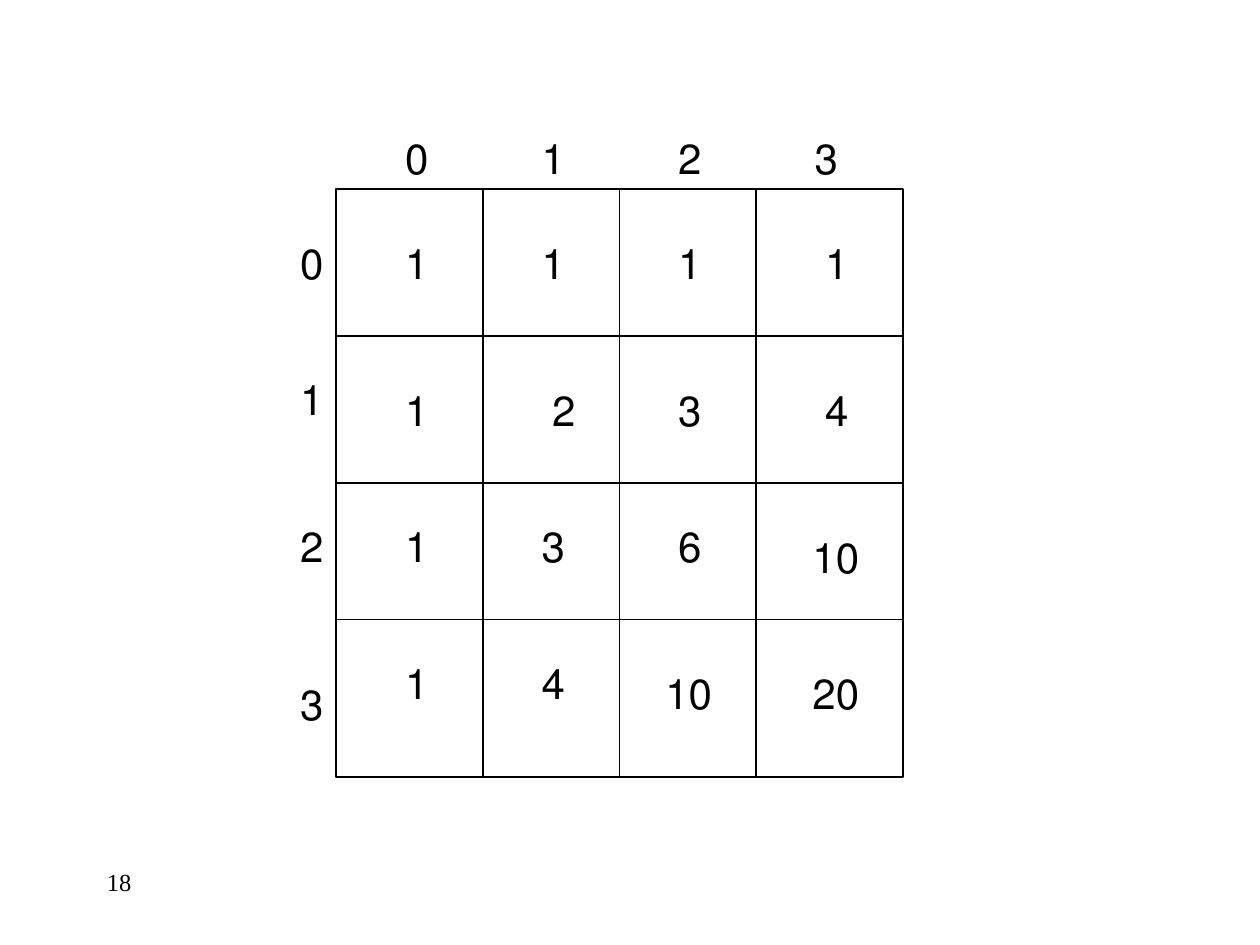
import pptx
import pptx.util
import pptx.dml.color
import pptx.enum.shapes
import pptx.enum.text
import lxml.etree

BLACK = pptx.dml.color.RGBColor(0, 0, 0)
WHITE = pptx.dml.color.RGBColor(255, 255, 255)
FONT = "Times New Roman"
RECTANGLE = pptx.enum.shapes.MSO_SHAPE.RECTANGLE
STRAIGHT = pptx.enum.shapes.MSO_CONNECTOR.STRAIGHT

deck = pptx.Presentation()
deck.slide_width = pptx.util.Inches(10)
deck.slide_height = pptx.util.Inches(7.5)
UNIT = deck.slide_width // 120
page = deck.slides.add_slide(deck.slide_layouts[6])
matrix = page.shapes.add_group_shape()


def write(box, text, size, align):
    frame = box.text_frame
    frame.word_wrap = True
    frame.vertical_anchor = pptx.enum.text.MSO_ANCHOR.TOP
    para = frame.paragraphs[0]
    para.alignment = align
    span = para.add_run()
    span.text = text
    span.font.size = pptx.util.Pt(size)
    span.font.name = FONT
    span.font.color.rgb = BLACK


def add_number(shapes, text, column, row, width=5, filled=False):
    place = [UNIT * value for value in (column, row, width, 6)]
    if filled:
        box = shapes.add_shape(RECTANGLE, *place)
        box.shadow.inherit = False
        box.fill.solid()
        box.fill.fore_color.rgb = WHITE
        box.line.fill.background()
    else:
        box = shapes.add_textbox(*place)
    write(box, text, 24, pptx.enum.text.PP_ALIGN.RIGHT)
    box.text_frame.paragraphs[0]._p.get_or_add_pPr().set("rtl", "1")
    box.text_frame.auto_size = pptx.enum.text.MSO_AUTO_SIZE.SHAPE_TO_FIT_TEXT


left, top, width, height = 32, 18, 54, 56
right, bottom = left + width, top + height
border = matrix.shapes.add_shape(
    RECTANGLE, *[UNIT * value for value in (left, top, width, height)])
border.shadow.inherit = False
border.fill.solid()
border.fill.fore_color.rgb = WHITE
border.line.color.rgb = BLACK
border.line.width = pptx.util.Pt(0.75)

verticals = [(column, top, column, bottom) for column in (46, 59, 72)]
horizontals = [(left, row, right, row) for row in (32, 46, 59)]
for ends in verticals + horizontals:
    divider = matrix.shapes.add_connector(STRAIGHT, *[UNIT * value for value in ends])
    divider.line.color.rgb = BLACK
    divider.line.width = pptx.util.Pt(0.75)
    lxml.etree.SubElement(divider._element.spPr, pptx.oxml.ns.qn("a:effectLst"))
    if ends[0] == ends[2] == left + width / 2:
        divider.begin_connect(border, 0)
        divider.end_connect(border, 2)
    elif ends[1] == ends[3] == top + height / 2:
        divider.begin_connect(border, 1)
        divider.end_connect(border, 3)

for index, label_row in enumerate((22, 35, 49, 64)):
    add_number(matrix.shapes, str(index), 37 + 13 * index, 12)
    add_number(matrix.shapes, str(index), 27, label_row)

cells = [
    (22, [("1", 37), ("1", 50), ("1", 63), ("1", 77)]),
    (36, [("1", 37), ("2", 51), ("3", 63), ("4", 77)]),
    (49, [("1", 37), ("3", 50), ("6", 63)]),
    (50, [("10", 75, 8)]),
    (62, [("1", 37), ("4", 50)]),
    (63, [("10", 62, 7), ("20", 76, 7)]),
]
for row, numbers in cells:
    for text, column, *widths in numbers:
        add_number(page.shapes, text, column, row, *widths, filled=True)

page_number = page.shapes.add_textbox(*[UNIT * value for value in (9, 82, 25, 6)])
write(page_number, "18", 14, pptx.enum.text.PP_ALIGN.LEFT)

deck.save("out.pptx")
